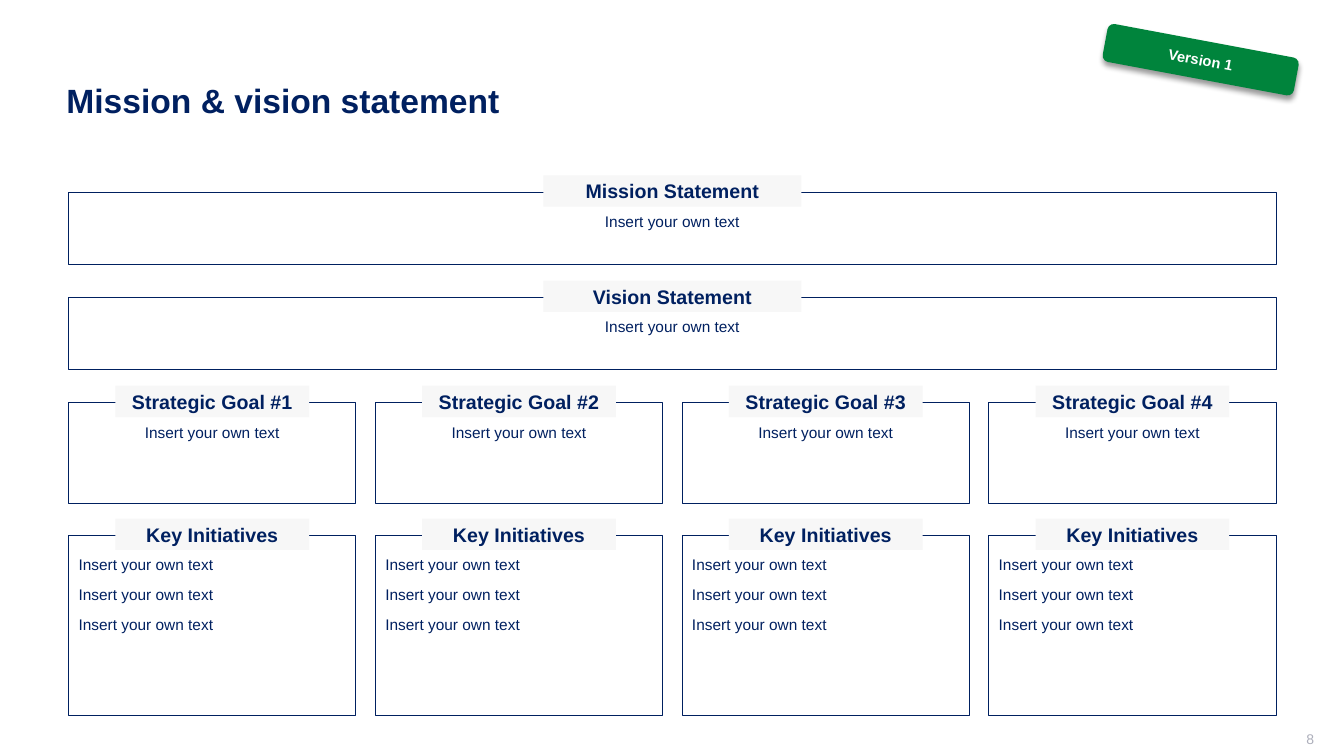
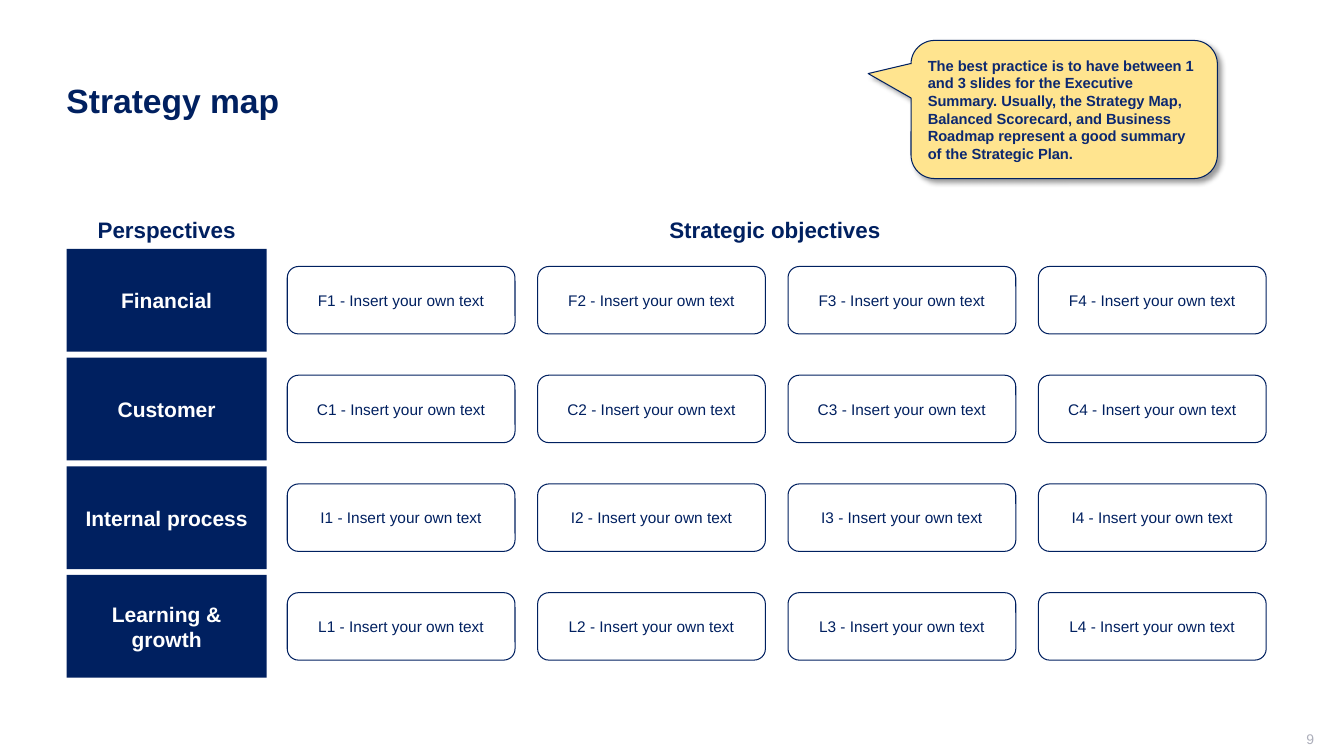
from lxml.etree import SubElement
from pptx import Presentation
from pptx.dml.color import RGBColor
from pptx.enum.shapes import MSO_SHAPE
from pptx.enum.text import MSO_ANCHOR, MSO_AUTO_SIZE, PP_ALIGN
from pptx.oxml.ns import qn
from pptx.util import Cm, Pt

NAVY = RGBColor(0x00, 0x20, 0x60)
NOTE_NAVY = RGBColor(0x0C, 0x28, 0x70)
WHITE = RGBColor(0xFF, 0xFF, 0xFF)
PALE_GREY = RGBColor(0xF7, 0xF7, 0xF7)
NUMBER_GREY = RGBColor(0xAD, 0xAF, 0xBB)
GREEN = RGBColor(0x00, 0x84, 0x3C)
YELLOW = RGBColor(0xFF, 0xE4, 0x8F)

FILLER = "Insert your own text"

# Text formats
BODY = {"size": Pt(11), "bold": False}
LABEL = {"size": Pt(14), "bold": True}
HEADING = {"size": Pt(16), "bold": True}
PERSPECTIVE = {"size": Pt(15), "bold": True}
TAG = {"size": Pt(10.5), "bold": True}
TITLE = {"size": Pt(24), "bold": True}
NUMBER = {"size": Pt(10), "bold": False}

# Frame formats
TOP_FRAME = {"vertical_anchor": MSO_ANCHOR.TOP, "margin_top": Cm(0.51)}


def write_text(shape, text, font_format, color=NAVY, align=PP_ALIGN.CENTER,
               spacing=0, frame_format=None):
    frame = shape.text_frame
    frame.text = text
    settings = {"word_wrap": True, "auto_size": MSO_AUTO_SIZE.NONE,
                "vertical_anchor": MSO_ANCHOR.MIDDLE, **(frame_format or {})}
    for name, value in settings.items():
        setattr(frame, name, value)
    for paragraph in frame.paragraphs:
        paragraph.alignment = align
        paragraph.space_before = paragraph.space_after = Pt(spacing)
        paragraph.font.name = "Arial"
        paragraph.font.color.rgb = color
        for name, value in font_format.items():
            setattr(paragraph.font, name, value)


def add_box(slide, kind, position, fill=None, outlined=False, shadow_angle=None):
    shape = slide.shapes.add_shape(kind, *map(Cm, position))
    shape.shadow.inherit = False
    if fill is None:
        shape.fill.background()
    else:
        shape.fill.solid()
        shape.fill.fore_color.rgb = fill
    if outlined:
        shape.line.color.rgb = NAVY
        shape.line.width = Pt(0.75)
    else:
        shape.line.fill.background()
    if shadow_angle is not None:
        effects = shape._element.spPr.find(qn("a:effectLst"))
        shadow = SubElement(effects, qn("a:outerShdw"), blurRad=str(Pt(4)),
                            dist=str(Pt(3)), dir=str(shadow_angle * 60000),
                            algn="tl", rotWithShape="0")
        shadow_color = SubElement(shadow, qn("a:srgbClr"), val="000000")
        SubElement(shadow_color, qn("a:alpha"), val="40000")
    return shape


presentation = Presentation()
presentation.slide_width = Cm(33.87)
presentation.slide_height = Cm(19.05)

# Title and slide number on every slide
slides = []
for number, title_text in enumerate(["Mission & vision statement", "Strategy map"], 8):
    slide = presentation.slides.add_slide(presentation.slide_layouts[5])
    title = slide.shapes.title
    title.left, title.top, title.width, title.height = map(Cm, (1.42, 1.02, 30.76, 3.02))
    write_text(title, title_text, TITLE, align=PP_ALIGN.LEFT)
    number_box = slide.shapes.add_textbox(Cm(25.5), Cm(18.42), Cm(7.62), Cm(0.53))
    write_text(number_box, str(number), NUMBER, NUMBER_GREY, PP_ALIGN.RIGHT,
               frame_format={"margin_right": 0, "margin_top": 0})
    slides.append(slide)
mission_slide, map_slide = slides

# Mission slide: rows of outlined boxes, each with a label on its top edge
LEFT, TOTAL_WIDTH, BOX_GAP = 1.73, 30.43, 0.49
LABEL_HEIGHT = 0.79
box_rows = [
    # top, height, label width, labels, text, alignment
    (4.84, 1.83, 6.5, ["Mission Statement"], FILLER, PP_ALIGN.CENTER),
    (7.49, 1.83, 6.5, ["Vision Statement"], FILLER, PP_ALIGN.CENTER),
    (10.14, 2.54, 4.88, [f"Strategic Goal #{goal}" for goal in range(1, 5)],
     FILLER, PP_ALIGN.CENTER),
    (13.49, 4.55, 4.88, ["Key Initiatives"] * 4, "\n".join([FILLER] * 3), PP_ALIGN.LEFT),
]
for top, height, label_width, labels, text, align in box_rows:
    box_width = (TOTAL_WIDTH + BOX_GAP) / len(labels) - BOX_GAP
    for column, label_text in enumerate(labels):
        left = LEFT + column * (box_width + BOX_GAP)
        box = add_box(mission_slide, MSO_SHAPE.RECTANGLE,
                      (left, top, box_width, height), outlined=True)
        write_text(box, text, BODY, align=align, spacing=4, frame_format=TOP_FRAME)
        label = add_box(mission_slide, MSO_SHAPE.RECTANGLE,
                        (left + (box_width - label_width) / 2, top - 0.42,
                         label_width, LABEL_HEIGHT), PALE_GREY)
        write_text(label, label_text, LABEL)

# Mission slide: tilted version tag
tag = add_box(mission_slide, MSO_SHAPE.ROUNDED_RECTANGLE, (27.81, 1.02, 4.9, 0.97),
              GREEN, shadow_angle=90)
tag.rotation = 10.6
write_text(tag, "Version 1", TAG, WHITE)

# Strategy map: column headings
for heading_text, left, width in [("Perspectives", 1.68, 5.04),
                                  ("Strategic objectives", 6.88, 25.3)]:
    heading = map_slide.shapes.add_textbox(Cm(left), Cm(5.41), Cm(width), Cm(0.76))
    write_text(heading, heading_text, HEADING,
               frame_format={"margin_left": 0, "margin_right": 0})

# Strategy map: one perspective per row with four objectives
ROW_TOP, ROW_PITCH, ROW_HEIGHT = 6.27, 2.74, 2.59
OBJECTIVE_LEFT, OBJECTIVE_PITCH = 7.24, 6.31
OBJECTIVE_WIDTH, OBJECTIVE_HEIGHT = 5.74, 1.7
for row, perspective_text in enumerate(
        ["Financial", "Customer", "Internal process", "Learning &\ngrowth"]):
    top = ROW_TOP + row * ROW_PITCH
    perspective = add_box(map_slide, MSO_SHAPE.RECTANGLE, (1.68, top, 5.04, ROW_HEIGHT), NAVY)
    write_text(perspective, perspective_text, PERSPECTIVE, WHITE)
    for column in range(4):
        objective = add_box(map_slide, MSO_SHAPE.ROUNDED_RECTANGLE,
                            (OBJECTIVE_LEFT + column * OBJECTIVE_PITCH,
                             top + (ROW_HEIGHT - OBJECTIVE_HEIGHT) / 2,
                             OBJECTIVE_WIDTH, OBJECTIVE_HEIGHT), WHITE, outlined=True)
        write_text(objective, f"{perspective_text[0]}{column + 1} - {FILLER}", BODY)

# Strategy map: advice callout
callout = add_box(map_slide, MSO_SHAPE.ROUNDED_RECTANGULAR_CALLOUT, (22.96, 1.02, 7.72, 3.48),
                  YELLOW, outlined=True, shadow_angle=45)
for index, adjustment in enumerate([-0.64, -0.26, 0.17]):
    callout.adjustments[index] = adjustment
write_text(callout, "The best practice is to have between 1 and 3 slides for the Executive "
           "Summary. Usually, the Strategy Map, Balanced Scorecard, and Business Roadmap "
           "represent a good summary of the Strategic Plan.",
           TAG, NOTE_NAVY, PP_ALIGN.LEFT, spacing=3)

presentation.save("out.pptx")
